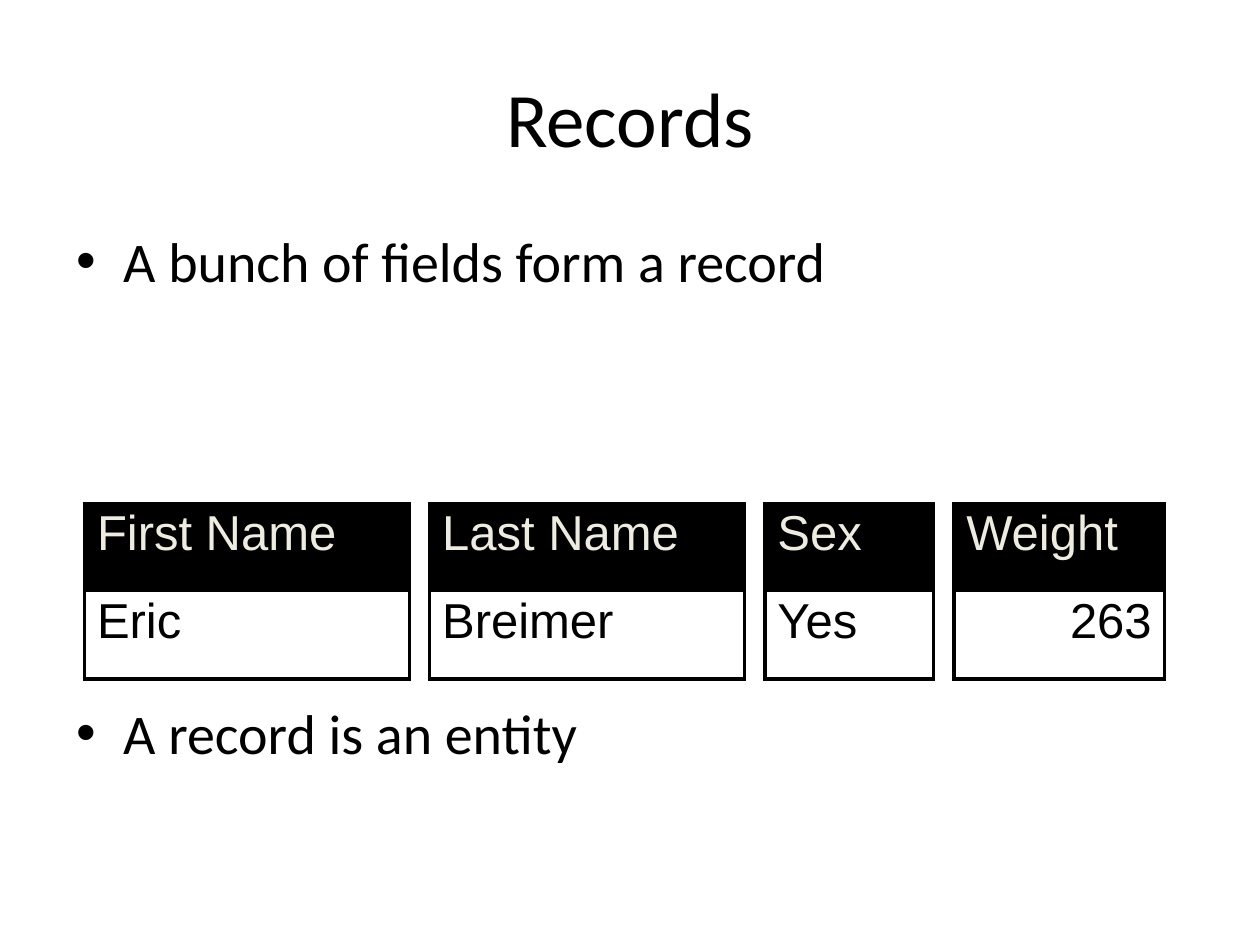
from lxml.etree import SubElement
from pptx import Presentation
from pptx.dml.color import RGBColor
from pptx.enum.text import MSO_ANCHOR, PP_ALIGN
from pptx.oxml.ns import qn
from pptx.util import Inches, Pt

COLORS = {"ink": "000000", "header": "EEECE1"}
TITLE = "Records"
BULLETS = [("A bunch of fields form a record", 6.5), ("A record is an entity", 231)]
FIELDS = [
    ("First Name", "Eric", 2.58, PP_ALIGN.LEFT),
    ("Last Name", "Breimer", 2.5, PP_ALIGN.LEFT),
    ("Sex", "Yes", 1.34, PP_ALIGN.LEFT),
    ("Weight", "263", 1.67, PP_ALIGN.RIGHT),
]
MARGIN = 0.5
TABLE_LEFT, TABLE_TOP, TABLE_GAP = 0.67, 4, 0.16
ROW_HEIGHT = 0.695
THICK, THIN = 2.21, 0.96


def style(p, font, size, color):
    for r in p.runs:
        r.font.name = font
        r.font.size = Pt(size)
        r.font.color.rgb = RGBColor.from_string(COLORS[color])


def add_bullet(p):
    pPr = p._p.get_or_add_pPr()
    pPr.set("marL", str(Inches(0.38)))
    pPr.set("indent", str(Inches(-0.37)))
    SubElement(pPr, qn("a:buFont"), typeface="Arial")
    SubElement(pPr, qn("a:buChar"), char="•")


def set_borders(cell, top, bottom):
    tcPr = cell._tc.get_or_add_tcPr()
    widths = {"lnL": THICK, "lnR": THICK, "lnT": top, "lnB": bottom}
    for i, (side, width) in enumerate(widths.items()):
        ln = tcPr.makeelement(qn(f"a:{side}"), {"w": str(Pt(width))})
        fill = SubElement(ln, qn("a:solidFill"))
        SubElement(fill, qn("a:srgbClr"), val=COLORS["ink"])
        tcPr.insert(i, ln)


def fill_cell(cell, text, color, align):
    cell.text_frame.text = text
    p = cell.text_frame.paragraphs[0]
    p.alignment = align
    p.line_spacing = 0.93
    p.space_before = Pt(5.6)
    style(p, "Arial", 28, color)


def add_field(s, left, name, value, width, align):
    table = s.shapes.add_table(
        2, 1, Inches(left), Inches(TABLE_TOP), Inches(width), Inches(2 * ROW_HEIGHT)
    ).table
    table.first_row = table.horz_banding = False
    header, body = table.cell(0, 0), table.cell(1, 0)
    fill_cell(header, name, "header", PP_ALIGN.LEFT)
    header.fill.solid()
    header.fill.fore_color.rgb = RGBColor.from_string(COLORS["ink"])
    set_borders(header, THICK, THIN)
    fill_cell(body, value, "ink", align)
    body.fill.background()
    set_borders(body, THIN, THICK)


def main():
    prs = Presentation()
    prs.slide_width, prs.slide_height = Inches(10), Inches(7.5)
    s = prs.slides.add_slide(prs.slide_layouts[5])

    title = s.shapes.title
    title.left, title.top = Inches(MARGIN), Inches(0.3)
    title.width, title.height = Inches(10 - 2 * MARGIN), Inches(1.25)
    tf = title.text_frame
    tf.text = TITLE
    tf.vertical_anchor = MSO_ANCHOR.MIDDLE
    tf.paragraphs[0].alignment = PP_ALIGN.CENTER
    style(tf.paragraphs[0], "Calibri", 44, "ink")

    tf = s.shapes.add_textbox(
        Inches(MARGIN), Inches(1.75), Inches(10 - 2 * MARGIN), Inches(4.95)
    ).text_frame
    tf.word_wrap = True
    tf.text = "\n".join(text for text, _ in BULLETS)
    for p, (_, space) in zip(tf.paragraphs, BULLETS):
        p.space_before = Pt(space)
        add_bullet(p)
        style(p, "Calibri", 32, "ink")

    left = TABLE_LEFT
    for name, value, width, align in FIELDS:
        add_field(s, left, name, value, width, align)
        left += width + TABLE_GAP

    prs.save("out.pptx")


if __name__ == "__main__":
    main()
